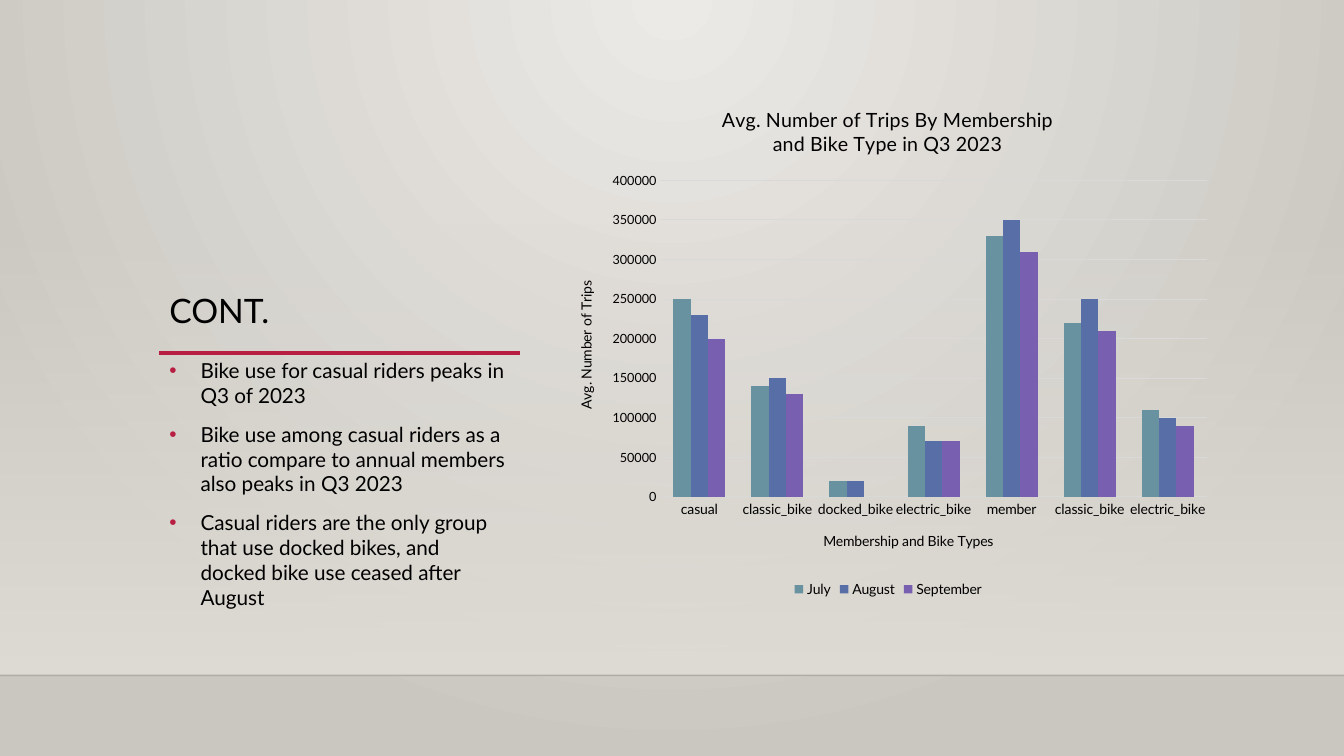
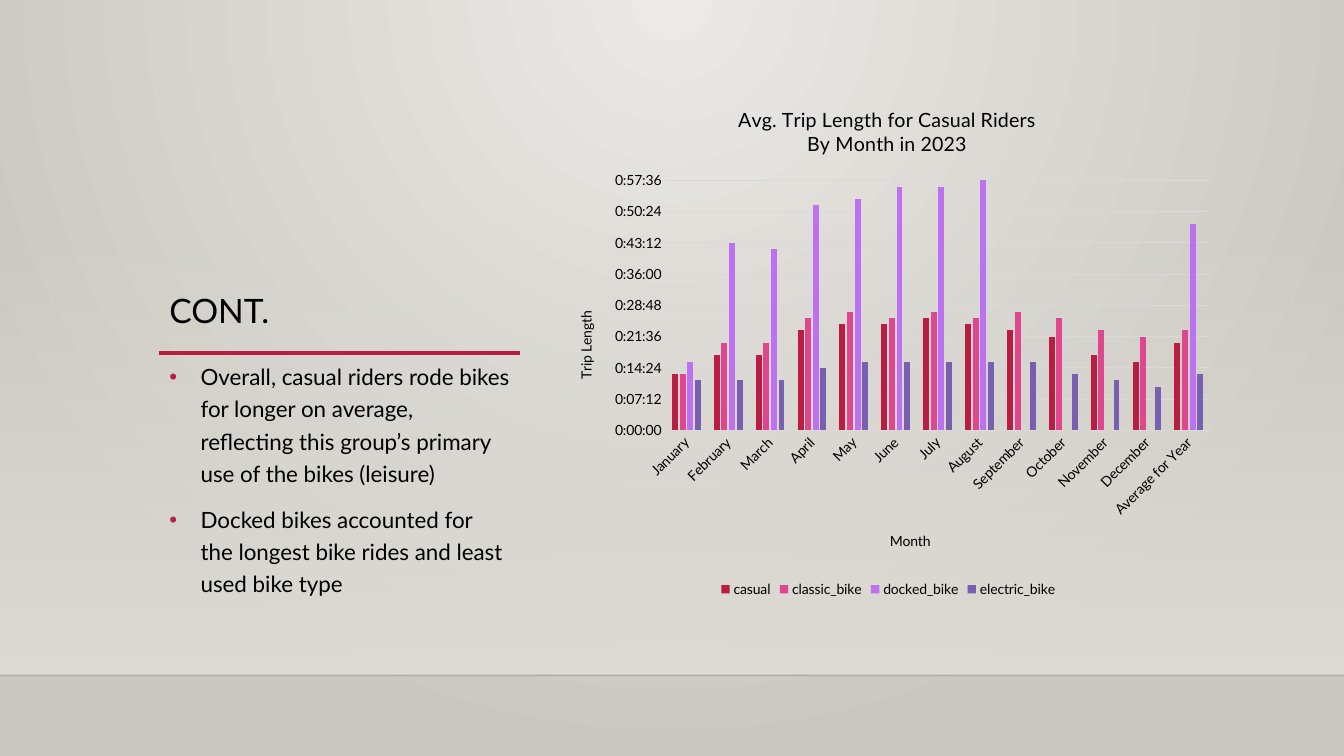
from lxml import etree
from pptx import Presentation
from pptx.chart.data import CategoryChartData
from pptx.dml.color import RGBColor
from pptx.enum.chart import XL_CHART_TYPE, XL_LEGEND_POSITION, XL_TICK_MARK
from pptx.enum.shapes import MSO_CONNECTOR, MSO_SHAPE
from pptx.enum.text import MSO_ANCHOR, MSO_AUTO_SIZE, PP_ALIGN
from pptx.oxml import parse_xml
from pptx.oxml.ns import nsdecls, qn
from pptx.util import Inches, Pt

COLUMNS = XL_CHART_TYPE.COLUMN_CLUSTERED
LEGEND_BOTTOM = XL_LEGEND_POSITION.BOTTOM
NO_TICKS = XL_TICK_MARK.NONE
STRAIGHT = MSO_CONNECTOR.STRAIGHT
RECTANGLE = MSO_SHAPE.RECTANGLE
BOTTOM, TOP = MSO_ANCHOR.BOTTOM, MSO_ANCHOR.TOP
NO_FIT = MSO_AUTO_SIZE.NONE
LEFT = PP_ALIGN.LEFT
AUTO_ANGLE, UPWARD = "-60000000", "-5400000"

FONT = "Lato"
COLORS = {
    "text": "000000", "accent": "B71E42", "grid": "D9D9D9",
    "glow": "ECEAE7", "wall": "CAC7C1", "haze": "DFDBD5", "floor": "000001",
    "teal": "6892A0", "blue": "586EA6", "purple": "795FAF",
    "pink": "DE478E", "violet": "BC72F0",
}
SLIDE_W, SLIDE_H = 13.33, 7.5
FLOOR_Y, HAZE_Y = 6.7, 2.21
TITLE_BOX = (1.58, 0.87, 3.58, 2.46)
RULE_Y = 3.5
CHART_BOX = (5.52, 0.87, 6.58, 5.1)

QUARTER = {
    "points": [
        "Bike use for casual riders peaks in Q3 of 2023",
        "Bike use among casual riders as a ratio compare to annual members also peaks in Q3 2023",
        "Casual riders are the only group that use docked bikes, and docked bike use ceased after August",
    ],
    "point_size": 14.8, "line_spacing": 1.0, "body_height": 2.46,
    "chart": {
        "title": ["Avg. Number of Trips By Membership", "and Bike Type in Q3 2023"],
        "title_at": (1.61, 0.15),
        "plot_at": (1.03, 0.92, 5.42, 3.14),
        "category_title": "Membership and Bike Types", "category_title_at": (2.62, 4.37),
        "value_title": "Avg. Number of Trips", "value_title_at": (0.17, 1.89),
        "categories": ["casual", "classic_bike", "docked_bike", "electric_bike",
                       "member", "classic_bike", "electric_bike"],
        "series": [
            ("July", "teal", [250000, 140000, 20000, 90000, 330000, 220000, 110000]),
            ("August", "blue", [230000, 150000, 20000, 70000, 350000, 250000, 100000]),
            ("September", "purple", [200000, 130000, None, 70000, 310000, 210000, 90000]),
        ],
        "format": "General", "maximum": 400000, "step": 50000,
        "value_size": 9, "gap": 150, "overlap": 0,
    },
}
YEAR = {
    "points": [
        "Overall, casual riders rode bikes for longer on average, reflecting this group’s primary use of the bikes (leisure)",
        "Docked bikes accounted for the longest bike rides and least used bike type",
    ],
    "point_size": 16, "line_spacing": 1.2, "body_height": 2.73,
    "chart": {
        "title": ["Avg. Trip Length for Casual Riders", "By Month in 2023"],
        "title_at": (1.77, 0.15),
        "plot_at": (1.08, 0.92, 5.4, 2.48),
        "category_title": "Month", "category_title_at": (3.28, 4.37),
        "value_title": "Trip Length", "value_title_at": (0.17, 2.19),
        "categories": ["January", "February", "March", "April", "May", "June", "July", "August",
                       "September", "October", "November", "December", "Average for Year"],
        "series": [
            ("casual", "accent", [0.009, 0.012, 0.012, 0.016, 0.017, 0.017, 0.018, 0.017,
                                  0.016, 0.015, 0.012, 0.011, 0.014]),
            ("classic_bike", "pink", [0.009, 0.014, 0.014, 0.018, 0.019, 0.018, 0.019, 0.018,
                                      0.019, 0.018, 0.016, 0.015, 0.016]),
            ("docked_bike", "violet", [0.011, 0.03, 0.029, 0.036, 0.037, 0.039, 0.039, 0.04,
                                       None, None, None, None, 0.033]),
            ("electric_bike", "purple", [0.008, 0.008, 0.008, 0.01, 0.011, 0.011, 0.011, 0.011,
                                         0.011, 0.009, 0.008, 0.007, 0.009]),
        ],
        "format": "[h]:mm:ss;@", "maximum": 0.04, "step": 0.005,
        "value_size": 10, "gap": 219, "overlap": -27,
    },
}


def rgb(name):
    """Return the named palette colour."""
    return RGBColor.from_string(COLORS[name])


def inches(box):
    """Convert the numbers of a box to lengths."""
    return [Inches(value) for value in box]


def style_font(font, size):
    """Apply the shared typeface and text colour."""
    font.name, font.size, font.bold = FONT, Pt(size), False
    font.color.rgb = rgb("text")


def add_run(paragraph, text, size):
    """Append one styled run to a paragraph."""
    run = paragraph.add_run()
    run.text = text
    style_font(run.font, size)


def gradient(start, end, direction, start_alpha=100):
    """Build a two-stop gradient fill element."""
    return parse_xml(
        f'<a:gradFill {nsdecls("a")} rotWithShape="1"><a:gsLst>'
        f'<a:gs pos="0"><a:srgbClr val="{COLORS[start]}"><a:alpha val="{start_alpha * 1000}"/></a:srgbClr></a:gs>'
        f'<a:gs pos="100000"><a:srgbClr val="{COLORS[end]}"/></a:gs>'
        f'</a:gsLst>{direction}</a:gradFill>')


def add_line(slide, left, right, y, color, width):
    """Draw a horizontal line without a shadow."""
    line = slide.shapes.add_connector(STRAIGHT, *inches((left, y, right, y)))
    line.line.color.rgb = rgb(color)
    line.line.width = Pt(width)
    etree.SubElement(line._element.spPr, qn("a:effectLst"))
    return line


def dress_layout(layout, slide):
    """Give the layout its background, haze, floor line and title rule."""
    layout.background.fill.solid()
    solid = layout._element.find(".//" + qn("a:solidFill"))
    glow = '<a:path path="circle"><a:fillToRect l="43000" t="0" r="43000" b="100000"/></a:path>'
    solid.getparent().replace(solid, gradient("glow", "wall", glow))

    haze = slide.shapes.add_shape(RECTANGLE, *inches((0, HAZE_Y, SLIDE_W, FLOOR_Y - HAZE_Y)))
    haze.shadow.inherit = False
    haze.line.fill.background()
    haze.fill.solid()
    solid = haze._element.spPr.find(qn("a:solidFill"))
    solid.getparent().replace(
        solid, gradient("haze", "haze", '<a:lin ang="5400000" scaled="0"/>', 0))

    floor = add_line(slide, 0, SLIDE_W, FLOOR_Y, "floor", 1)
    tint = floor._element.spPr.find(".//" + qn("a:srgbClr"))
    etree.SubElement(tint, qn("a:alpha")).set("val", "20000")

    left, _, width, _ = TITLE_BOX
    rule = add_line(slide, left, left + width, RULE_Y, "accent", 2.5)
    for order, part in enumerate((haze, floor, rule)):
        part._element[0][0].set("id", str(100 + order))
        layout.shapes._spTree.insert(2 + order, part._element)


def place(holder, box, anchor):
    """Move a placeholder and prepare its text frame."""
    holder.left, holder.top, holder.width, holder.height = inches(box)
    frame = holder.text_frame
    frame.word_wrap = True
    frame.auto_size = NO_FIT
    frame.vertical_anchor = anchor
    return frame


def fill_title(holder, text, box):
    """Write the slide title above the rule."""
    paragraph = place(holder, box, BOTTOM).paragraphs[0]
    paragraph.alignment = LEFT
    paragraph.line_spacing = 0.9
    add_run(paragraph, text, 24)


def fill_points(holder, points, box, size, line_spacing):
    """Write the bulleted list under the rule."""
    frame = place(holder, box, TOP)
    for index, point in enumerate(points):
        paragraph = frame.add_paragraph() if index else frame.paragraphs[0]
        paragraph.line_spacing = line_spacing
        paragraph.space_before = Pt(10)
        properties = paragraph._p.get_or_add_pPr()
        properties.set("marL", str(Inches(0.31)))
        properties.set("indent", str(-Inches(0.31)))
        color = etree.SubElement(properties, qn("a:buClr"))
        etree.SubElement(color, qn("a:srgbClr")).set("val", COLORS["accent"])
        etree.SubElement(properties, qn("a:buFont")).set("typeface", "Arial")
        etree.SubElement(properties, qn("a:buChar")).set("char", "•")
        add_run(paragraph, point, size)


def manual_layout(spot, inner=False):
    """Build a chart layout element from a spot in inches within the chart box."""
    target = '<c:layoutTarget val="inner"/>' if inner else ""
    modes = '<c:xMode val="edge"/><c:yMode val="edge"/>'
    sizes = "".join(f'<c:{key} val="{value / whole:.4f}"/>'
                    for key, value, whole in zip("xywh", spot, CHART_BOX[2:] * 2))
    return parse_xml(f'<c:layout {nsdecls("c")}><c:manualLayout>{target}{modes}{sizes}'
                     '</c:manualLayout></c:layout>')


def drop_layout(element):
    """Remove an automatic layout element."""
    for old in element.findall(qn("c:layout")):
        element.remove(old)


def write_chart_title(title, lines, size, at):
    """Write a chart or axis title at a fixed spot and return its frame."""
    frame = title.text_frame
    for index, line in enumerate(lines):
        paragraph = frame.add_paragraph() if index else frame.paragraphs[0]
        add_run(paragraph, line, size)
    drop_layout(title._element)
    title._element.find(qn("c:tx")).addnext(manual_layout(at))
    return frame


def style_axes(chart, data):
    """Format both axes with their titles, labels and gridlines."""
    category, value = chart.category_axis, chart.value_axis
    for axis, size in ((category, 10), (value, data["value_size"])):
        axis.major_tick_mark = axis.minor_tick_mark = NO_TICKS
        style_font(axis.tick_labels.font, size)
    category.has_major_gridlines = False
    labels = category._element.find(qn("c:txPr")).find(qn("a:bodyPr"))
    labels.set("rot", AUTO_ANGLE)
    value.minimum_scale, value.maximum_scale = 0, data["maximum"]
    value.major_unit = data["step"]
    value.tick_labels.number_format = data["format"]
    value.tick_labels.number_format_is_linked = False
    value.has_major_gridlines = True
    for line in (category.format.line, value.major_gridlines.format.line):
        line.color.rgb = rgb("grid")
        line.width = Pt(0.75)
    value.format.line.fill.background()
    write_chart_title(category.axis_title, [data["category_title"]], 10, data["category_title_at"])
    frame = write_chart_title(value.axis_title, [data["value_title"]], 10, data["value_title_at"])
    frame._txBody.find(qn("a:bodyPr")).set("rot", UPWARD)


def add_trip_chart(slide, data, box):
    """Add a clustered column chart in the given box."""
    chart_data = CategoryChartData(number_format=data["format"])
    chart_data.categories = data["categories"]
    for name, _, values in data["series"]:
        chart_data.add_series(name, values)
    chart = slide.shapes.add_chart(COLUMNS, *inches(box), chart_data).chart
    style_font(chart.font, 10)
    chart.has_title = True
    write_chart_title(chart.chart_title, data["title"], 14, data["title_at"])
    chart.has_legend = True
    chart.legend.position = LEGEND_BOTTOM
    chart.legend.include_in_layout = False
    style_font(chart.legend.font, 10)
    plot = chart.plots[0]
    plot.vary_by_categories = False
    plot.gap_width, plot.overlap = data["gap"], data["overlap"]
    for series, (_, color, _) in zip(plot.series, data["series"]):
        series.format.fill.solid()
        series.format.fill.fore_color.rgb = rgb(color)
    style_axes(chart, data)
    plot_area = chart._chartSpace.chart.plotArea
    drop_layout(plot_area)
    plot_area.insert(0, manual_layout(data["plot_at"], inner=True))


def fill_slide(slide, content):
    """Fill one slide with its title, list and chart."""
    title, points = slide.placeholders
    left, _, width, _ = TITLE_BOX
    fill_title(title, "CONT.", TITLE_BOX)
    fill_points(points, content["points"], (left, RULE_Y, width, content["body_height"]),
                content["point_size"], content["line_spacing"])
    add_trip_chart(slide, content["chart"], CHART_BOX)


def main():
    """Build and save the presentation."""
    deck = Presentation()
    deck.slide_width, deck.slide_height = inches((SLIDE_W, SLIDE_H))
    layout = deck.slide_layouts[1]
    slides = [deck.slides.add_slide(layout) for _ in range(2)]
    dress_layout(layout, slides[0])
    for slide, content in zip(slides, (QUARTER, YEAR)):
        fill_slide(slide, content)
    deck.save("out.pptx")


if __name__ == "__main__":
    main()
